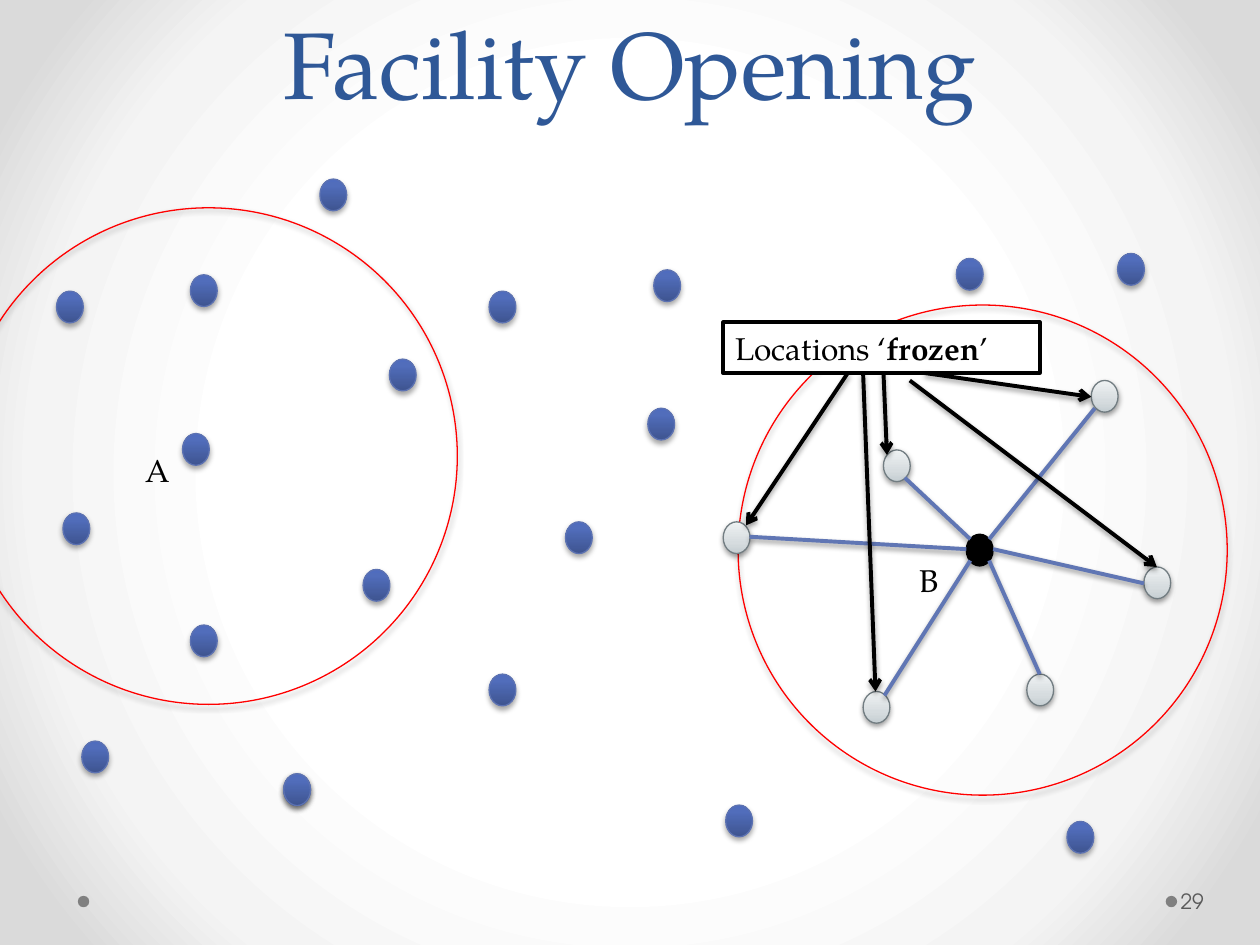
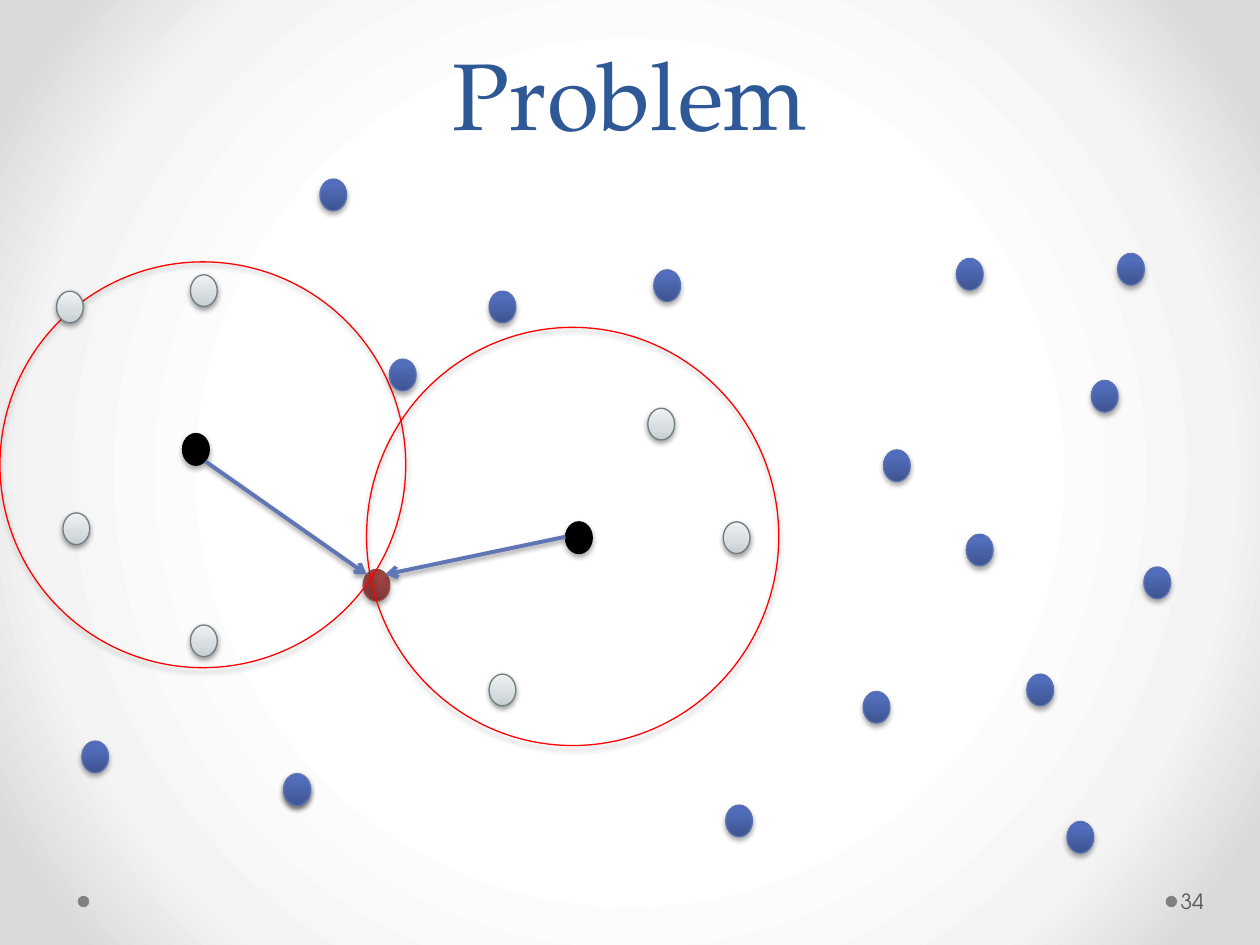
"""Builds two slides on facility opening: frozen locations and a contested location."""
from collections import namedtuple

from lxml import etree
from pptx import Presentation
from pptx.dml.color import RGBColor
from pptx.enum.shapes import MSO_CONNECTOR, MSO_SHAPE
from pptx.enum.text import MSO_ANCHOR, MSO_AUTO_SIZE, PP_ALIGN
from pptx.oxml.ns import qn
from pptx.util import Cm, Pt

OVAL = MSO_SHAPE.OVAL
STRAIGHT = MSO_CONNECTOR.STRAIGHT
TOP, MIDDLE, BOTTOM = MSO_ANCHOR.TOP, MSO_ANCHOR.MIDDLE, MSO_ANCHOR.BOTTOM
LEFT, CENTER = PP_ALIGN.LEFT, PP_ALIGN.CENTER
FIT_SHAPE = MSO_AUTO_SIZE.SHAPE_TO_FIT_TEXT

BLACK = RGBColor(0x00, 0x00, 0x00)
WHITE = RGBColor(0xFF, 0xFF, 0xFF)
RED = RGBColor(0xFF, 0x00, 0x00)
TITLE_BLUE = RGBColor(0x2F, 0x58, 0x97)
EDGE_BLUE = RGBColor(0x60, 0x76, 0xB4)
DOT_BLUE = RGBColor(0x5C, 0x72, 0xB2)
DOT_GREY = RGBColor(0x72, 0x7D, 0x82)
DOT_RED = RGBColor(0x9A, 0x4E, 0x4E)
FOOTER_DOT = RGBColor(0x80, 0x80, 0x80)
FOOTER_TEXT = RGBColor(0x59, 0x59, 0x59)

SERIF = "TeX Gyre Pagella"
SANS = "TeX Gyre Adventor"

Shadow = namedtuple("Shadow", "opacity distance")
STRONG_SHADOW = Shadow(38, Pt(1.6))
SOFT_SHADOW = Shadow(35, Pt(1.8))

DotStyle = namedtuple("DotStyle", "stops outline shadow")
PLAIN = DotStyle([(0, RGBColor(0x3E, 0x54, 0x90)), (80, RGBColor(0x51, 0x6D, 0xBB)),
                  (100, RGBColor(0x4F, 0x6C, 0xBE))], DOT_BLUE, SOFT_SHADOW)
FROZEN = DotStyle([(0, RGBColor(0xC5, 0xCE, 0xD2)), (35, RGBColor(0xD6, 0xDC, 0xDF)),
                   (100, RGBColor(0xEF, 0xF2, 0xF3))], DOT_GREY, STRONG_SHADOW)
CONTESTED = DotStyle([(0, RGBColor(0x7D, 0x35, 0x35)), (80, RGBColor(0xA2, 0x45, 0x45)),
                      (100, RGBColor(0xA4, 0x43, 0x43))], DOT_RED, SOFT_SHADOW)
OPENED = DotStyle(None, BLACK, SOFT_SHADOW)
BACKGROUND_STOPS = [(50, WHITE), (76, RGBColor(0xF4, 0xF4, 0xF4)),
                    (92, RGBColor(0xDA, 0xDA, 0xDA))]

REAR_LOCATIONS = {
    "A": (3.68, 8.74), "B1": (17.81, 9.07), "far 1": (13.18, 5.44),
    "far 2": (5.72, 15.6), "C": (11.4, 10.52), "AC": (7.32, 11.48),
    "C1": (9.86, 13.59), "B2": (17.4, 13.94), "far 3": (6.45, 3.61),
    "far 4": (14.63, 16.23),
}
FRONT_LOCATIONS = {
    "C2": (13.06, 8.23), "far 5": (9.86, 5.87), "BC": (14.58, 10.52),
    "far 6": (7.85, 7.24), "far 7": (22.53, 5.11), "far 8": (19.28, 5.21),
    "B3": (22, 7.67), "B": (19.48, 10.77), "B4": (23.06, 11.43),
    "B5": (20.7, 13.59), "far 9": (21.51, 16.56), "far 10": (5.72, 15.6),
    "A1": (3.84, 5.54), "A2": (1.27, 10.34), "far 11": (1.65, 14.94),
    "A3": (1.14, 5.87), "A4": (3.84, 12.6),
}


class SlideBuilder:
    """Holds the shared style and draws on the current slide."""

    def __init__(self, presentation):
        self.presentation = presentation
        self.slide = None

    def start_slide(self, title, number, title_top, title_height):
        """Add a slide with background, title, footer dots and number."""
        self.slide = self.presentation.slides.add_slide(self.presentation.slide_layouts[6])
        self.slide.background.fill.gradient()
        self.set_gradient(self.slide.element, BACKGROUND_STOPS, radial=True)
        for left in (23.5, 1.57):
            self.oval(left, 18.06, 0.23, 0.23, FOOTER_DOT)
        heading = self.text([(title, False)], 1.27, title_top, 22.86, title_height,
                            size=54, color=TITLE_BLUE, anchor=BOTTOM, align=CENTER)
        heading.text_frame.paragraphs[0].line_spacing = Pt(58)
        page = self.text([(number, False)], 23.72, 17.65, 1.55, 1.02,
                         size=12, color=FOOTER_TEXT, font=SANS, anchor=MIDDLE)
        page.text_frame.margin_left = Cm(0.08)

    def set_gradient(self, element, stops, radial=False):
        """Replace the first gradient in an element with the given stops."""
        gradient = next(element.iter(qn("a:gradFill")))
        for child in list(gradient):
            gradient.remove(child)
        stop_list = etree.SubElement(gradient, qn("a:gsLst"))
        for position, color in stops:
            stop = etree.SubElement(stop_list, qn("a:gs"), pos=str(position * 1000))
            etree.SubElement(stop, qn("a:srgbClr"), val=str(color))
        if radial:
            shade = etree.SubElement(gradient, qn("a:path"), {"path": "circle"})
            etree.SubElement(shade, qn("a:fillToRect"), dict.fromkeys("ltrb", "50000"))
        else:
            etree.SubElement(gradient, qn("a:lin"), ang="16200000", scaled="0")

    def cast_shadow(self, shape, shadow):
        """Give a shape or connector a shadow straight below it."""
        properties = shape.element.spPr
        effects = properties.find(qn("a:effectLst"))
        if effects is None:
            effects = etree.SubElement(properties, qn("a:effectLst"))
        outer = etree.SubElement(effects, qn("a:outerShdw"), blurRad=str(Pt(3.1)),
                                 dist=str(shadow.distance), dir="5400000", rotWithShape="0")
        color = etree.SubElement(outer, qn("a:srgbClr"), val=str(BLACK))
        etree.SubElement(color, qn("a:alpha"), val=str(shadow.opacity * 1000))

    def oval(self, left, top, width, height, fill=None, outline=None):
        """Draw an oval with an optional fill and outline."""
        shape = self.slide.shapes.add_shape(OVAL, Cm(left), Cm(top), Cm(width), Cm(height))
        shape.shadow.inherit = False
        if fill is None:
            shape.fill.background()
        else:
            shape.fill.solid()
            shape.fill.fore_color.rgb = fill
        if outline is None:
            shape.line.fill.background()
        else:
            shape.line.color.rgb = outline
            shape.line.width = Pt(0.75)
        return shape

    def range_circle(self, left, top, width, height):
        """Draw the red reach of a facility."""
        circle = self.oval(left, top, width, height, outline=RED)
        self.cast_shadow(circle, SOFT_SHADOW)

    def locations(self, places, states):
        """Draw location dots, styled by their state."""
        for name, (left, top) in places.items():
            style = states.get(name, PLAIN)
            dot = self.oval(left, top, 0.54, 0.64, style.outline, style.outline)
            if style.stops:
                dot.fill.gradient()
                self.set_gradient(dot.element, style.stops)
            self.cast_shadow(dot, style.shadow)

    def text(self, runs, left, top, width, height, size=18, color=BLACK, font=SERIF,
             anchor=TOP, align=LEFT, wrap=True):
        """Write one paragraph of (text, bold) runs in a text box."""
        box = self.slide.shapes.add_textbox(Cm(left), Cm(top), Cm(width), Cm(height))
        frame = box.text_frame
        frame.word_wrap = wrap
        frame.vertical_anchor = anchor
        paragraph = frame.paragraphs[0]
        paragraph.alignment = align
        paragraph.font.name = font
        paragraph.font.size = Pt(size)
        paragraph.font.color.rgb = color
        for content, bold in runs:
            run = paragraph.add_run()
            run.text = content
            if bold:
                run.font.bold = True
        return box

    def label(self, name, left, top):
        """Write the letter of a facility."""
        box = self.text([(name, False)], left, top, 0.99, 1.02, wrap=False)
        box.text_frame.auto_size = FIT_SHAPE

    def callout(self, runs, left, top, width, height):
        """Write text in a white box with a black border."""
        box = self.text(runs, left, top, width, height)
        box.text_frame.auto_size = FIT_SHAPE
        box.fill.solid()
        box.fill.fore_color.rgb = WHITE
        box.line.color.rgb = BLACK
        box.line.width = Pt(2.25)

    def lines(self, segments, color, arrow=False):
        """Draw straight lines, with an arrowhead at the end if asked."""
        for start_x, start_y, end_x, end_y in segments:
            connector = self.slide.shapes.add_connector(
                STRAIGHT, Cm(start_x), Cm(start_y), Cm(end_x), Cm(end_y))
            connector.line.color.rgb = color
            connector.line.width = Pt(2.25)
            if arrow:
                line = connector.element.spPr.find(qn("a:ln"))
                etree.SubElement(line, qn("a:tailEnd"), type="arrow")
            self.cast_shadow(connector, STRONG_SHADOW)


def build_facility_opening(builder):
    """Facility B is open and freezes the locations around it."""
    states = dict.fromkeys(("B1", "B2", "B3", "B4", "B5", "BC"), FROZEN)
    states["B"] = OPENED
    builder.start_slide("Facility Opening", "29", -0.66, 3.18)
    builder.locations(REAR_LOCATIONS, states)
    builder.range_circle(-0.81, 4.19, 10.03, 10.01)
    builder.range_circle(14.88, 6.15, 9.86, 9.88)
    builder.label("A", 2.69, 8.97)
    builder.label("B", 18.29, 11.18)
    builder.locations(FRONT_LOCATIONS, states)
    builder.lines([
        (19.56, 10.87, 18.24, 9.63), (19.48, 11.07, 15.11, 10.82),
        (22.07, 8.23, 19.94, 10.87), (23.06, 11.76, 20.02, 11.07),
        (20.96, 13.59, 19.94, 11.3), (19.56, 11.3, 17.83, 14.02),
    ], EDGE_BLUE)
    builder.callout([("Locations ‘", False), ("frozen", True), ("’", False)],
                    14.58, 6.5, 6.38, 1.02)
    builder.lines([
        (17.81, 7.52, 17.88, 9.17), (18.64, 7.52, 22, 8),
        (17.09, 7.52, 15.04, 10.59), (18.34, 7.67, 23.32, 11.43),
        (17.4, 7.52, 17.65, 13.94),
    ], BLACK, arrow=True)


def build_problem(builder):
    """Two open facilities reach the same location."""
    states = dict.fromkeys(("A1", "A2", "A3", "A4", "C1", "C2", "BC"), FROZEN)
    states.update({"A": OPENED, "C": OPENED, "AC": CONTESTED})
    builder.start_slide("Problem", "34", -1.32, 4.45)
    builder.locations(REAR_LOCATIONS, states)
    builder.range_circle(0, 5.28, 8.18, 8.18)
    builder.range_circle(7.39, 6.6, 8.31, 8.43)
    builder.lines([(11.4, 10.82, 7.77, 11.58), (4.14, 9.3, 7.39, 11.58)],
                  EDGE_BLUE, arrow=True)
    builder.locations(FRONT_LOCATIONS, states)


def main():
    """Build both slides and save them."""
    presentation = Presentation()
    presentation.slide_width = Cm(25.4)
    presentation.slide_height = Cm(19.05)
    builder = SlideBuilder(presentation)
    build_facility_opening(builder)
    build_problem(builder)
    presentation.save("out.pptx")


if __name__ == "__main__":
    main()
